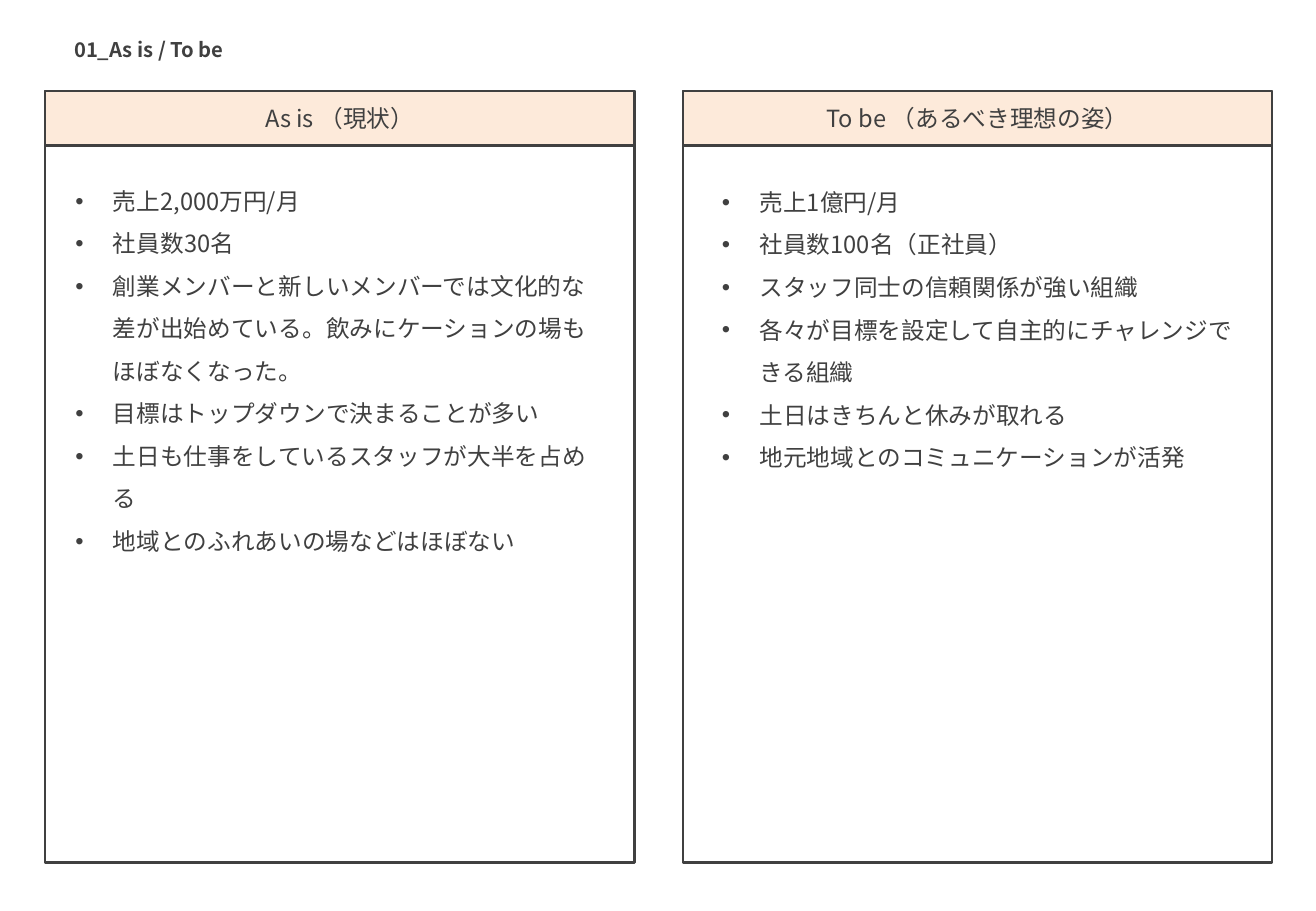
from lxml.etree import SubElement
from pptx import Presentation
from pptx.dml.color import RGBColor
from pptx.enum.shapes import MSO_SHAPE
from pptx.enum.text import MSO_ANCHOR, MSO_AUTO_SIZE, PP_ALIGN
from pptx.oxml.ns import qn
from pptx.util import Pt

PX = 9144  # EMU per px, 100 px to the inch
INK = RGBColor(0x40, 0x40, 0x40)
WHITE = RGBColor(0xFF, 0xFF, 0xFF)
PEACH = RGBColor(0xFD, 0xEA, 0xDA)
FONT = "Noto Sans CJK JP"

PANEL_TOP, PANEL_WIDTH, PANEL_HEIGHT, HEADER_HEIGHT = 75, 485, 635, 45
BULLET_INDENT = 31

# Heading, panel left, list box (left, top, width, height), list items
PANELS = [
    ("As is （現状）", 37, (52, 137, 455, 328), [
        "売上2,000万円/月",
        "社員数30名",
        "創業メンバーと新しいメンバーでは文化的な差が出始めている。飲みにケーションの場もほぼなくなった。",
        "目標はトップダウンで決まることが多い",
        "土日も仕事をしているスタッフが大半を占める",
        "地域とのふれあいの場などはほぼない",
    ]),
    ("To be （あるべき理想の姿）", 562, (584, 138, 448, 257), [
        "売上1億円/月",
        "社員数100名（正社員）",
        "スタッフ同士の信頼関係が強い組織",
        "各々が目標を設定して自主的にチャレンジできる組織",
        "土日はきちんと休みが取れる",
        "地元地域とのコミュニケーションが活発",
    ]),
]


def format_text(shape, size, align, anchor, bold=False):
    frame = shape.text_frame
    frame.auto_size = MSO_AUTO_SIZE.NONE
    frame.vertical_anchor = anchor
    for paragraph in frame.paragraphs:
        paragraph.alignment = align
        for run in paragraph.runs:
            run.font.name = FONT
            run.font.size = Pt(size)
            run.font.bold = bold
            run.font.color.rgb = INK
            SubElement(run._r.get_or_add_rPr(), qn("a:ea"), typeface=FONT)


def place(shape, left, top, width, height):
    shape.left, shape.top = left * PX, top * PX
    shape.width, shape.height = width * PX, height * PX


presentation = Presentation()
presentation.slide_width = 1083 * PX
presentation.slide_height = 750 * PX
slide = presentation.slides.add_slide(presentation.slide_layouts[3])
title, *lists = slide.placeholders

# Title
place(title, 51, 26, 165, 30)
title.text_frame.text = "01_As is / To be"
title.text_frame.word_wrap = False
format_text(title, 12, PP_ALIGN.LEFT, MSO_ANCHOR.TOP, bold=True)

for (heading, left, list_box, items), bullet_list in zip(PANELS, lists):
    # Panel frame and heading band
    for height, fill, text in ((PANEL_HEIGHT, WHITE, ""), (HEADER_HEIGHT, PEACH, heading)):
        band = slide.shapes.add_shape(
            MSO_SHAPE.RECTANGLE, left * PX, PANEL_TOP * PX, PANEL_WIDTH * PX, height * PX)
        band.shadow.inherit = False
        band.fill.solid()
        band.fill.fore_color.rgb = fill
        band.line.color.rgb = INK
        band.line.width = Pt(1.5)
        if text:
            band.text_frame.text = text
            format_text(band, 14, PP_ALIGN.CENTER, MSO_ANCHOR.MIDDLE)

    # Bullet list, brought in front of its panel
    place(bullet_list, *list_box)
    bullet_list.text_frame.text = "\n".join(items)
    format_text(bullet_list, 14, PP_ALIGN.LEFT, MSO_ANCHOR.TOP)
    for paragraph in bullet_list.text_frame.paragraphs:
        paragraph.line_spacing = 1.5
        paragraph.space_before = Pt(0)
        properties = paragraph._p.get_or_add_pPr()
        properties.set("marL", str(BULLET_INDENT * PX))
        properties.set("indent", str(-BULLET_INDENT * PX))
        SubElement(properties, qn("a:buChar"), char="•")
    slide.shapes.element.append(bullet_list.element)

presentation.save("out.pptx")
